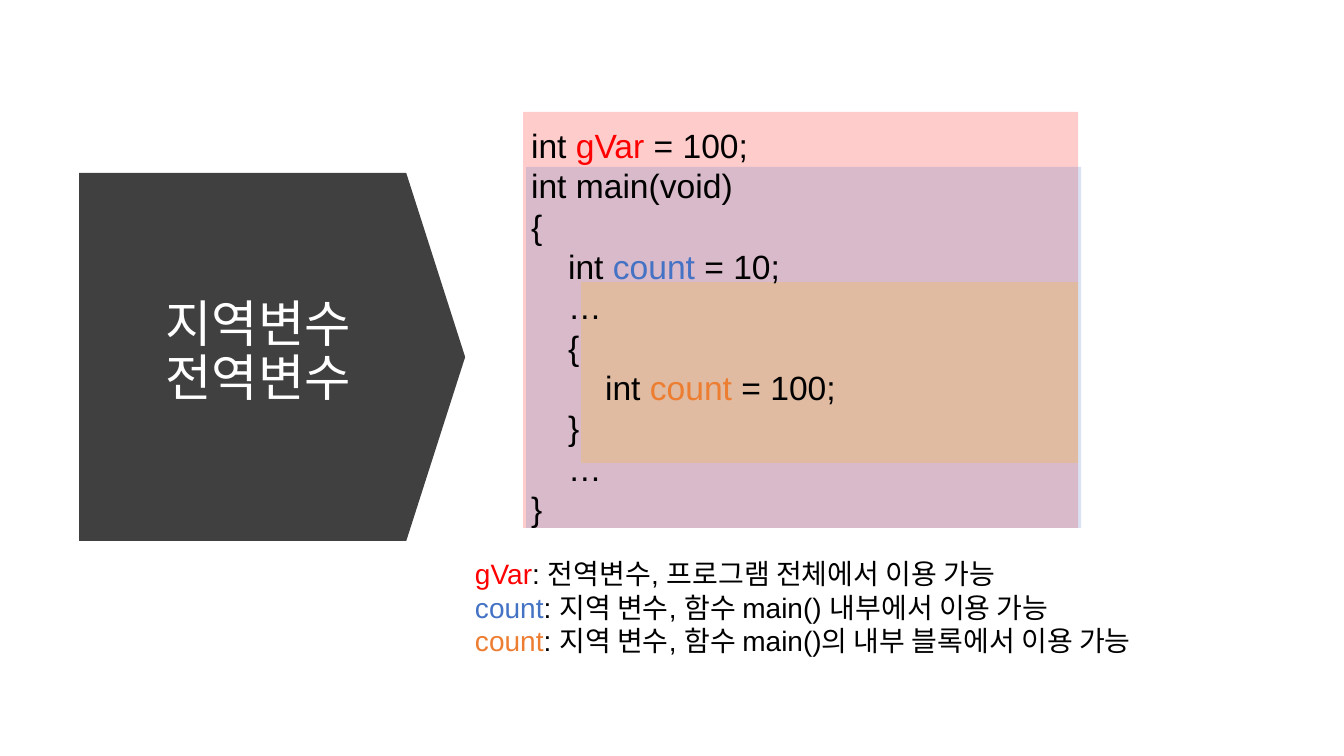
from lxml import etree
from pptx import Presentation
from pptx import util as u
from pptx.dml.color import RGBColor
from pptx.enum import shapes, text
from pptx.oxml.ns import qn

EMU_PER_PIXEL = 914400 / 100.8
INDENT = 37
LATIN, KOREAN = "Arial", "Noto Sans CJK KR"
COLORS = {
    "global": "FF0000", "local": "4472C4", "block": "ED7D31",
    "block_area": "FFC000", "arrow": "404040", "white": "FFFFFF", "black": "000000",
}

# Each code line: indent level, then (text, colour) runs
CODE = [
    (0, [("int ", "black"), ("gVar", "global"), (" = 100;", "black")]),
    (0, [("int main(void)", "black")]),
    (0, [("{", "black")]),
    (1, [("int ", "black"), ("count", "local"), (" = 10;", "black")]),
    (1, [("…", "black")]),
    (1, [("{", "black")]),
    (2, [("int ", "black"), ("count", "block"), (" = 100;", "black")]),
    (1, [("}", "black")]),
    (1, [("…", "black")]),
    (0, [("}", "black")]),
]
LEGEND = [
    ("gVar", "global", ": 전역변수, 프로그램 전체에서 이용 가능"),
    ("count", "local", ": 지역 변수, 함수 main() 내부에서 이용 가능"),
    ("count", "block", ": 지역 변수, 함수 main()의 내부 블록에서 이용 가능"),
]


def px(pixels):
    return u.Emu(round(pixels * EMU_PER_PIXEL))


def add_area(page, kind, bounds, color, opacity=100):
    area = page.shapes.add_shape(kind, *map(px, bounds))
    area.shadow.inherit = False
    area.line.fill.background()
    area.fill.solid()
    area.fill.fore_color.rgb = RGBColor.from_string(COLORS[color])
    if opacity < 100:
        tint = area.fill._xPr.find(".//" + qn("a:srgbClr"))
        etree.SubElement(tint, qn("a:alpha"), val=str(opacity * 1000))
    return area


def add_span(para, words, color, size, font):
    span = para.add_run()
    span.text = words
    span.font.size = u.Pt(size)
    span.font.name = font
    span.font.color.rgb = RGBColor.from_string(COLORS[color])
    etree.SubElement(span.font._element, qn("a:ea"), typeface=KOREAN)


def add_text(page, bounds, lines, size, spacing, font=LATIN,
             align=text.PP_ALIGN.LEFT, anchor=text.MSO_ANCHOR.TOP):
    """Write lines given as (indent level, runs) into a wrapping text box."""
    frame = page.shapes.add_textbox(*map(px, bounds)).text_frame
    frame.word_wrap = True
    frame.vertical_anchor = anchor
    for number, (level, runs) in enumerate(lines):
        para = frame.paragraphs[0] if number == 0 else frame.add_paragraph()
        para.alignment = align
        para.line_spacing = u.Pt(spacing)
        if level:
            para._p.get_or_add_pPr().set("marL", str(px(level * INDENT)))
        for words, color in runs:
            add_span(para, words, color, size, font)


def main():
    deck = Presentation()
    deck.slide_width, deck.slide_height = u.Inches(13.33), u.Inches(7.5)
    page = deck.slides.add_slide(deck.slide_layouts[6])
    rectangle = shapes.MSO_SHAPE.RECTANGLE

    # Global scope and the title arrow
    add_area(page, rectangle, (523, 112, 555, 416), "global", 20)
    arrow = add_area(page, shapes.MSO_SHAPE.DOWN_ARROW, (88, 164, 368, 386), "arrow")
    arrow.rotation = 270
    arrow.adjustments[0], arrow.adjustments[1] = 1, 0.16
    title = [(0, [(word, "white")]) for word in ("지역변수", "전역변수")]
    add_text(page, (113, 207, 290, 291), title, 36, 38.6, KOREAN,
             text.PP_ALIGN.CENTER, text.MSO_ANCHOR.MIDDLE)

    # Explanation of each variable
    legend = [(0, [(name, color), (meaning, "black")]) for name, color, meaning in LEGEND]
    add_text(page, (465, 552, 823, 104), legend, 20, 23.8)

    # Function and block scopes under the code
    add_area(page, rectangle, (526, 167, 555, 361), "local", 20)
    add_area(page, rectangle, (581, 282, 497, 181), "block_area", 20)
    add_text(page, (521, 120, 663, 420), CODE, 24, 28.8)

    deck.save("out.pptx")


main()
